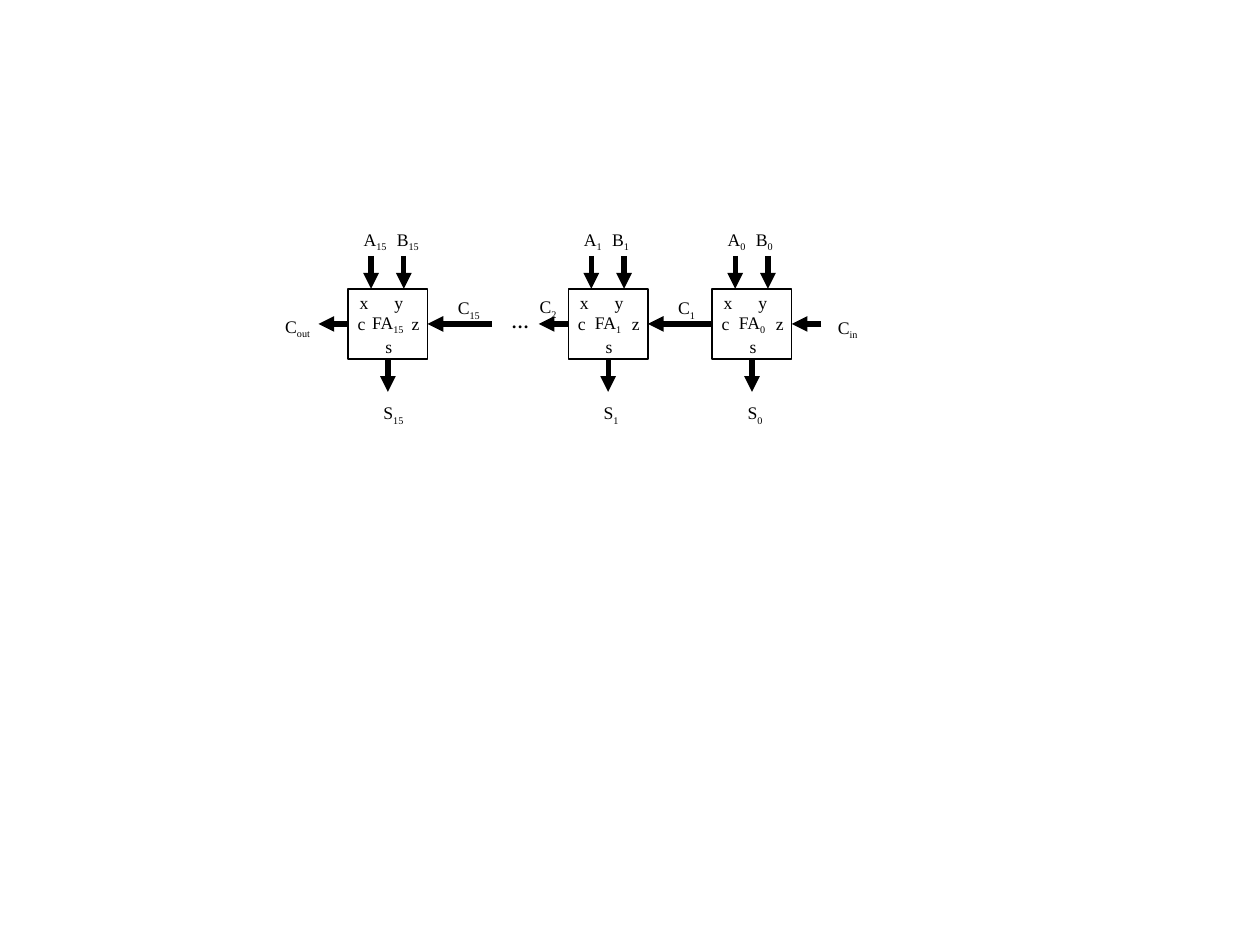
from dataclasses import dataclass

from lxml.etree import SubElement as Sub
from pptx import Presentation
from pptx.dml.color import RGBColor as Rgb
from pptx.enum.shapes import MSO_CONNECTOR as Link, MSO_SHAPE as Form
from pptx.enum.text import MSO_ANCHOR as Anchor, PP_ALIGN as Align
from pptx.oxml.ns import qn
from pptx.util import Cm, Pt

INK = {"black": "000000", "white": "FFFFFF"}
FONT = {"name": "Times New Roman", "size": Pt(10.1)}
PAD = {"margin_left": Cm(0.15), "margin_right": Cm(0.15),
       "margin_top": Cm(0.08), "margin_bottom": Cm(0.08),
       "word_wrap": True, "vertical_anchor": Anchor.MIDDLE}
FREE = {"margin_left": Cm(0.25), "margin_right": 0,
        "margin_top": Cm(0.13), "margin_bottom": Cm(0.13),
        "word_wrap": True, "vertical_anchor": Anchor.TOP}
TOP, WIDE, HIGH = 5.82, 1.6, 1.42
MID, LOW = 6.53, TOP + HIGH
STEM, STUB = 0.66, 0.6


@dataclass
class Cell:
    """One full adder: left edge, bit number, offset of B."""
    left: float
    bit: int
    gap: float


@dataclass
class Label:
    """A free text with its place; bars part base and subscript."""
    text: str
    left: float
    top: float
    wide: float = 1.1
    bold: bool = False


CELLS = [Cell(7.02, 15, 0.73), Cell(11.46, 1, 0.63), Cell(14.36, 0, 0.63)]
PORTS = [Label("x", -0.02, 5.75, 0.6), Label("y", 0.68, 5.75, 0.6),
         Label("c", -0.06, 6.17, 0.6), Label("z", 1.03, 6.17, 0.6),
         Label("s", 0.5, 6.65, 0.6)]
NOTES = [Label("C|out", 5.5, 6.23), Label("C|in", 16.64, 6.25),
         Label("…", 10.06, 6.14, bold=True), Label("C|2", 10.63, 5.84)]

deck = Presentation()
deck.slide_width, deck.slide_height = Cm(25.4), Cm(19.05)
slide = deck.slides.add_slide(deck.slide_layouts[6])
shapes = slide.shapes


def style(thing, form: dict) -> None:
    """Set each attribute of a format on an object."""
    for key, value in form.items():
        setattr(thing, key, value)


def write(para, text: str, bold: bool = False) -> None:
    """Add runs; every second part between bars is a subscript."""
    for num, part in enumerate(text.split("|")):
        run = para.add_run()
        run.text = part
        style(run.font, FONT | {"bold": bold})
        run.font.color.rgb = Rgb.from_string(INK["black"])
        if num % 2:
            run.font._element.set("baseline", "-25000")


def label(item: Label, shift: float = 0) -> None:
    """Draw a free text, moved right by a shift."""
    frame = shapes.add_textbox(Cm(item.left + shift), Cm(item.top),
                               Cm(item.wide), Cm(0.69)).text_frame
    style(frame, FREE)
    write(frame.paragraphs[0], item.text, item.bold)


def arrow(x: float, y: float, to_x: float, to_y: float) -> None:
    """Draw a thick arrow from one point to another."""
    line = shapes.add_connector(Link.STRAIGHT, Cm(x), Cm(y), Cm(to_x), Cm(to_y))
    line.line.width = Pt(3)
    line.line.color.rgb = Rgb.from_string(INK["black"])
    Sub(line.line._get_or_add_ln(), qn("a:tailEnd"), type="triangle")
    Sub(line._element.spPr, qn("a:effectLst"))


def box(cell: Cell) -> None:
    """Draw the adder box with its name and ports."""
    rect = shapes.add_shape(Form.RECTANGLE, Cm(cell.left), Cm(TOP),
                            Cm(WIDE), Cm(HIGH))
    rect.shadow.inherit = False
    rect.fill.solid()
    rect.fill.fore_color.rgb = Rgb.from_string(INK["white"])
    rect.line.color.rgb = Rgb.from_string(INK["black"])
    rect.line.width = Pt(1)
    style(rect.text_frame, PAD)
    para = rect.text_frame.paragraphs[0]
    para.alignment = Align.CENTER
    write(para, f"FA|{cell.bit}")
    for port in PORTS:
        label(port, cell.left)


def adder(cell: Cell) -> None:
    """Draw a full adder with its inputs, sum and carry."""
    x, bit = cell.left, cell.bit
    box(cell)
    for step in (0.46, 1.12):
        arrow(x + step, TOP - STEM, x + step, TOP)
    arrow(x + WIDE / 2, LOW, x + WIDE / 2, LOW + STEM)
    label(Label(f"A|{bit}", x + 0.06, 4.48))
    label(Label(f"B|{bit}", x + cell.gap, 4.48))
    label(Label(f"S|{bit}", x + 0.46, 7.98))
    reach = 1.3 if bit else STUB
    arrow(x + WIDE + reach, MID, x + WIDE, MID)
    if bit:
        label(Label(f"C|{bit}", x + 1.96, 5.86))


for cell in CELLS:
    adder(cell)
for cell in CELLS[:2]:
    arrow(cell.left, MID, cell.left - STUB, MID)
for note in NOTES:
    label(note)

deck.save("out.pptx")
